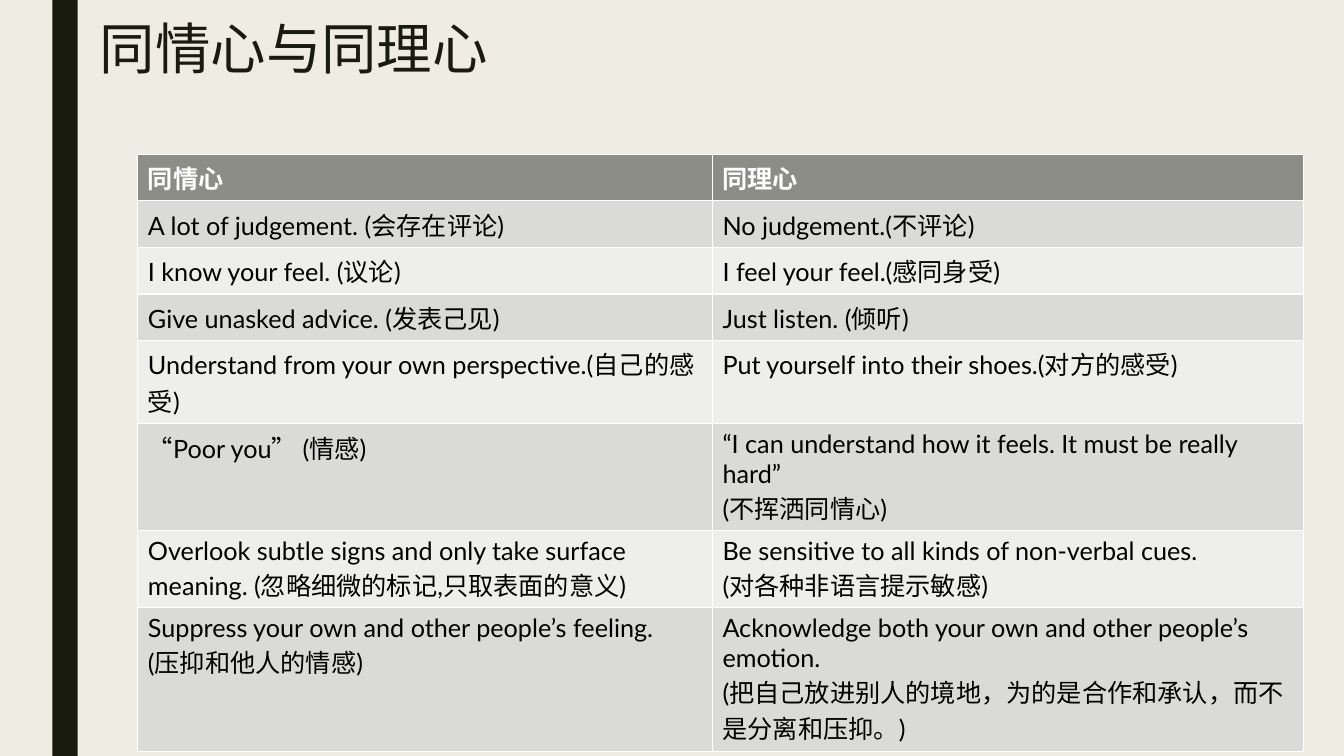
from pptx import Presentation
from pptx.dml.color import RGBColor
from pptx.enum import shapes, text
from pptx.util import Pt

CREAM = RGBColor(0xEF, 0xED, 0xE3)
INK = RGBColor(0x19, 0x1B, 0x0E)
HEADER_GRAY = RGBColor(0x8C, 0x8D, 0x86)
DARK_BAND = RGBColor(0xDA, 0xDB, 0xD9)
LIGHT_BAND = RGBColor(0xEE, 0xEE, 0xED)
WHITE = RGBColor(0xFF, 0xFF, 0xFF)
BLACK = RGBColor(0, 0, 0)

FONT = "Lato"
COLUMN_WIDTHS = (410.4, 421.92)
ROW_HEIGHT = 29.52
ROWS = [
    ("同情心", "同理心"),
    ("A lot of judgement. (会存在评论)", "No judgement.(不评论)"),
    ("I know your feel. (议论)", "I feel your feel.(感同身受)"),
    ("Give unasked advice. (发表己见)", "Just listen. (倾听)"),
    ("Understand from your own perspective.(自己的感受)",
     "Put yourself into their shoes.(对方的感受)"),
    ("“Poor you” (情感)",
     "“I can understand how it feels. It must be really hard”\n(不挥洒同情心)"),
    ("Overlook subtle signs and only take surface meaning. (忽略细微的标记,只取表面的意义)",
     "Be sensitive to all kinds of non-verbal cues.\n(对各种非语言提示敏感)"),
    ("Suppress your own and other people’s feeling.\n(压抑和他人的情感)",
     "Acknowledge both your own and other people’s emotion.\n"
     "(把自己放进别人的境地，为的是合作和承认，而不是分离和压抑。)"),
]


def apply(target, values):
    """Set each named attribute on the target."""
    for name, value in values.items():
        setattr(target, name, value)


def write(frame, words, color, **font_values):
    """Fill a text frame and format every run in it."""
    frame.text = words
    for para in frame.paragraphs:
        for span in para.runs:
            apply(span.font, {"name": FONT, **font_values})
            span.font.color.rgb = color


def add_side_bar(page):
    """Draw the dark vertical bar at the left."""
    bar = page.shapes.add_shape(shapes.MSO_SHAPE.RECTANGLE,
                                Pt(37.44), 0, Pt(18), Pt(540))
    bar.shadow.inherit = False
    bar.fill.solid()
    bar.fill.fore_color.rgb = INK
    bar.line.fill.background()


def set_title(page, words):
    """Place and format the title placeholder."""
    title = page.shapes.title
    apply(title, {"left": Pt(64), "top": Pt(13), "width": Pt(756), "height": Pt(47.5)})
    frame = title.text_frame
    write(frame, words, INK, size=Pt(39.6))
    apply(frame, {"word_wrap": True, "auto_size": text.MSO_AUTO_SIZE.NONE,
                  "vertical_anchor": text.MSO_ANCHOR.MIDDLE})
    apply(frame.paragraphs[0], {"alignment": text.PP_ALIGN.LEFT, "line_spacing": 0.89})


def add_comparison(page, rows):
    """Add the two-column table with a header and alternating bands."""
    table = page.shapes.add_table(
        len(rows), len(COLUMN_WIDTHS), Pt(98.5), Pt(110.2),
        Pt(sum(COLUMN_WIDTHS)), Pt(ROW_HEIGHT * len(rows))).table
    for column, width in zip(table.columns, COLUMN_WIDTHS):
        column.width = Pt(width)
    for index, row in enumerate(rows):
        table.rows[index].height = Pt(ROW_HEIGHT)
        is_header = index == 0
        band = DARK_BAND if index % 2 else LIGHT_BAND
        for cell, words in zip(table.rows[index].cells, row):
            cell.fill.solid()
            cell.fill.fore_color.rgb = HEADER_GRAY if is_header else band
            write(cell.text_frame, words, WHITE if is_header else BLACK,
                  size=Pt(18), bold=is_header)


def main():
    """Build the slide and save it."""
    deck = Presentation()
    apply(deck, {"slide_width": Pt(960), "slide_height": Pt(540)})
    page = deck.slides.add_slide(deck.slide_layouts.get_by_name("Title Only"))
    page.background.fill.solid()
    page.background.fill.fore_color.rgb = CREAM
    add_side_bar(page)
    set_title(page, "同情心与同理心")
    add_comparison(page, ROWS)
    deck.save("out.pptx")


if __name__ == "__main__":
    main()
